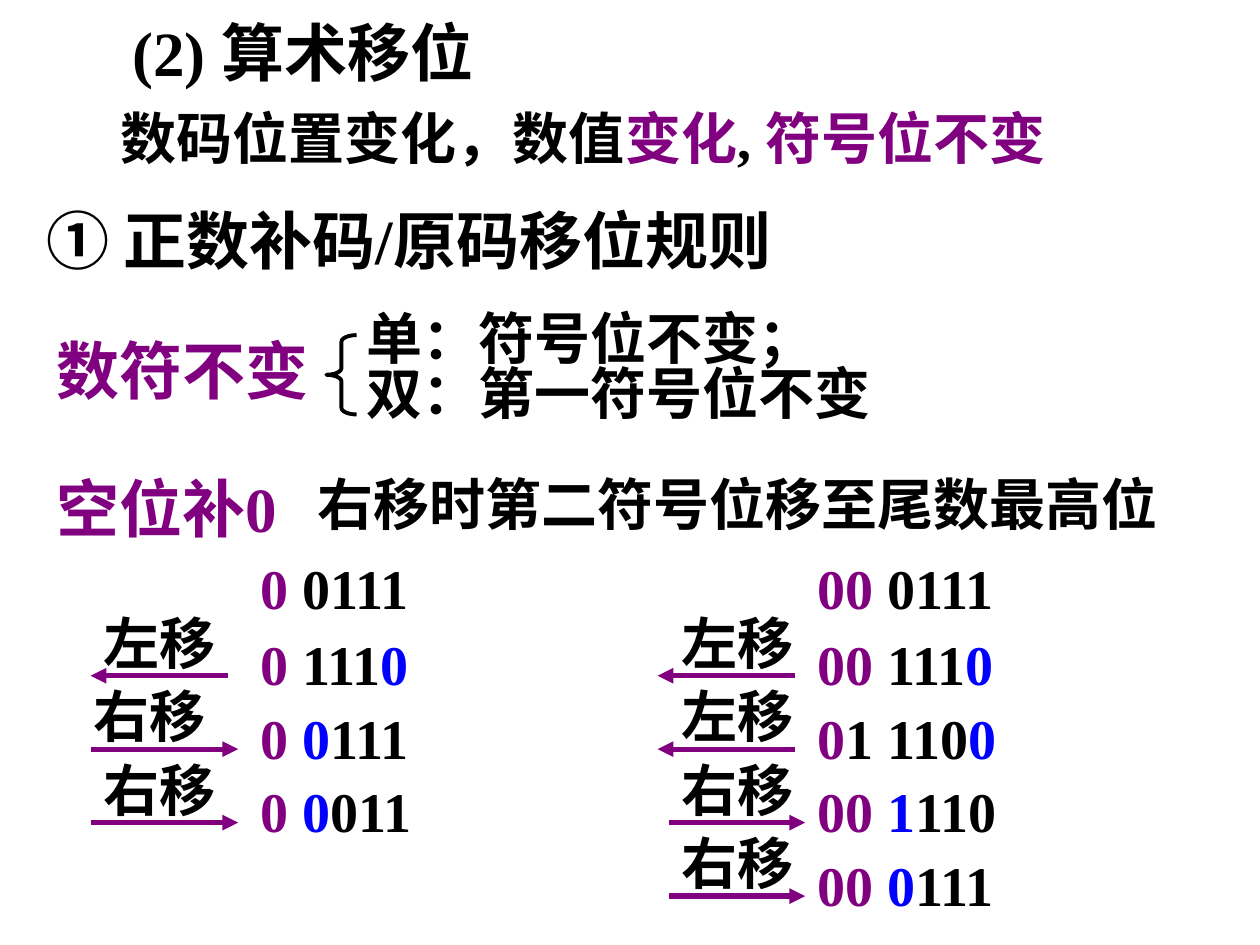
from lxml import etree
from pptx import Presentation
from pptx import util as u
from pptx.dml.color import RGBColor
from pptx.enum import shapes, text
from pptx.oxml.ns import qn

BLACK = RGBColor(0x00, 0x00, 0x00)
PURPLE = RGBColor(0x80, 0x00, 0x80)
BLUE = RGBColor(0x00, 0x00, 0xFF)
FONT = "Times New Roman"
COLS, ROWS = 100, 75  # grid units across and down the slide
TITLE, BODY = 36, 32


class Deck:
    """Holds the style and the current slide; lengths are grid units."""

    def __init__(self):
        self.prs = Presentation()
        self.prs.slide_width, self.prs.slide_height = u.Inches(10), u.Inches(7.5)
        self.s = self.prs.slides.add_slide(self.prs.slide_layouts[6])

    def x(self, cols):
        return int(self.prs.slide_width * cols / COLS)

    def y(self, rows):
        return int(self.prs.slide_height * rows / ROWS)

    def box(self, at, *paragraphs, size=BODY, spacing=1.0, before=0):
        """Each paragraph is a list of (wording, colour) runs."""
        left, top, width, height = at
        sp = self.s.shapes.add_textbox(self.x(left), self.y(top), self.x(width), self.y(height))
        tf = sp.text_frame
        tf.word_wrap = True
        tf.auto_size = text.MSO_AUTO_SIZE.SHAPE_TO_FIT_TEXT
        for i, runs in enumerate(paragraphs):
            p = tf.add_paragraph() if i else tf.paragraphs[0]
            p.line_spacing = spacing
            p.space_before = u.Pt(before if i else 0)
            for wording, colour in runs:
                r = p.add_run()
                r.text = wording
                r.font.name, r.font.size, r.font.bold = FONT, u.Pt(size), True
                r.font.color.rgb = colour

    def arrow(self, left, right, row, end):
        """end is 'headEnd' (points left) or 'tailEnd' (points right)."""
        c = self.s.shapes.add_connector(
            shapes.MSO_CONNECTOR.STRAIGHT, self.x(left), self.y(row), self.x(right), self.y(row))
        c.line.color.rgb, c.line.width = PURPLE, u.Pt(3)
        etree.SubElement(c.line._get_or_add_ln(), qn(f"a:{end}"), type="triangle")
        etree.SubElement(c._element.spPr, qn("a:effectLst"))

    def brace(self, left, top, width, height):
        sp = self.s.shapes.add_shape(
            shapes.MSO_SHAPE.LEFT_BRACE, self.x(left), self.y(top), self.x(width), self.y(height))
        sp.adjustments[0], sp.adjustments[1] = 0.22, 0.5
        sp.shadow.inherit = False
        sp.fill.background()
        sp.line.color.rgb, sp.line.width = BLACK, u.Pt(2.25)


def shifts(deck, label_x, number_x, arrows, start, steps):
    """A starting number, then one row per shift: label, arrow, result."""
    pitch = 5.83
    deck.box((number_x, 45.3, 20, 4.2), start, spacing=0.6)
    for i, (direction, label_dx, number) in enumerate(steps):
        top = 47.8 + i * pitch
        deck.box((label_x + label_dx, top, 11.7, 6.3), [(direction, BLACK)])
        deck.arrow(*arrows[direction][:2], top + pitch, arrows[direction][2])
        deck.box((number_x, top + 1.7, 19.2, 6.3), number)


def main():
    deck = Deck()

    # Headings
    deck.box((9.5, 0.6, 39.8, 7), [("(2) 算术移位", BLACK)], size=TITLE)
    deck.box((8.6, 7.7, 79, 6.3), [("数码位置变化，数值", BLACK), ("变化", PURPLE),
                                   (", ", BLACK), ("符号位不变", PURPLE)])
    deck.box((2.7, 15.5, 72.5, 7), [("① 正数补码/原码移位规则", BLACK)], size=TITLE)

    # Rules
    deck.box((3.5, 25.8, 22.5, 7), [("数符不变", PURPLE)], size=TITLE)
    deck.brace(25.9, 26.6, 2.4, 6.3)
    deck.box((28.1, 25.9, 45.7, 9), [("单：符号位不变；", BLACK)],
             [("双：第一符号位不变", BLACK)], spacing=0.5, before=12)
    deck.box((3.5, 36.8, 21.7, 7), [("空位补0", PURPLE)], size=TITLE)
    deck.box((24.2, 36.8, 71.7, 6.3), [("右移时第二符号位移至尾数最高位", BLACK)])

    # Single sign bit
    shifts(deck, 7.2, 19.7,
           {"左移": (7.2, 18.1, "headEnd"), "右移": (7.2, 18.9, "tailEnd")},
           [("0", PURPLE), (" 0111", BLACK)],
           [("左移", 0, [("0", PURPLE), (" 111", BLACK), ("0", BLUE)]),
            ("右移", -0.8, [("0 ", PURPLE), ("0", BLUE), ("111", BLACK)]),
            ("右移", 0, [("0 ", PURPLE), ("0", BLUE), ("011", BLACK)])])

    # Double sign bit
    shifts(deck, 53.1, 63.9,
           {"左移": (52.2, 63.1, "headEnd"), "右移": (53.1, 63.9, "tailEnd")},
           [("00", PURPLE), (" 0111", BLACK)],
           [("左移", 0, [("00", PURPLE), (" 111", BLACK), ("0", BLUE)]),
            ("左移", 0, [("0", PURPLE), ("1 110", BLACK), ("0", BLUE)]),
            ("右移", 0, [("00 ", PURPLE), ("1", BLUE), ("110", BLACK)]),
            ("右移", 0, [("00 ", PURPLE), ("0", BLUE), ("111", BLACK)])])

    deck.prs.save("out.pptx")


if __name__ == "__main__":
    main()
